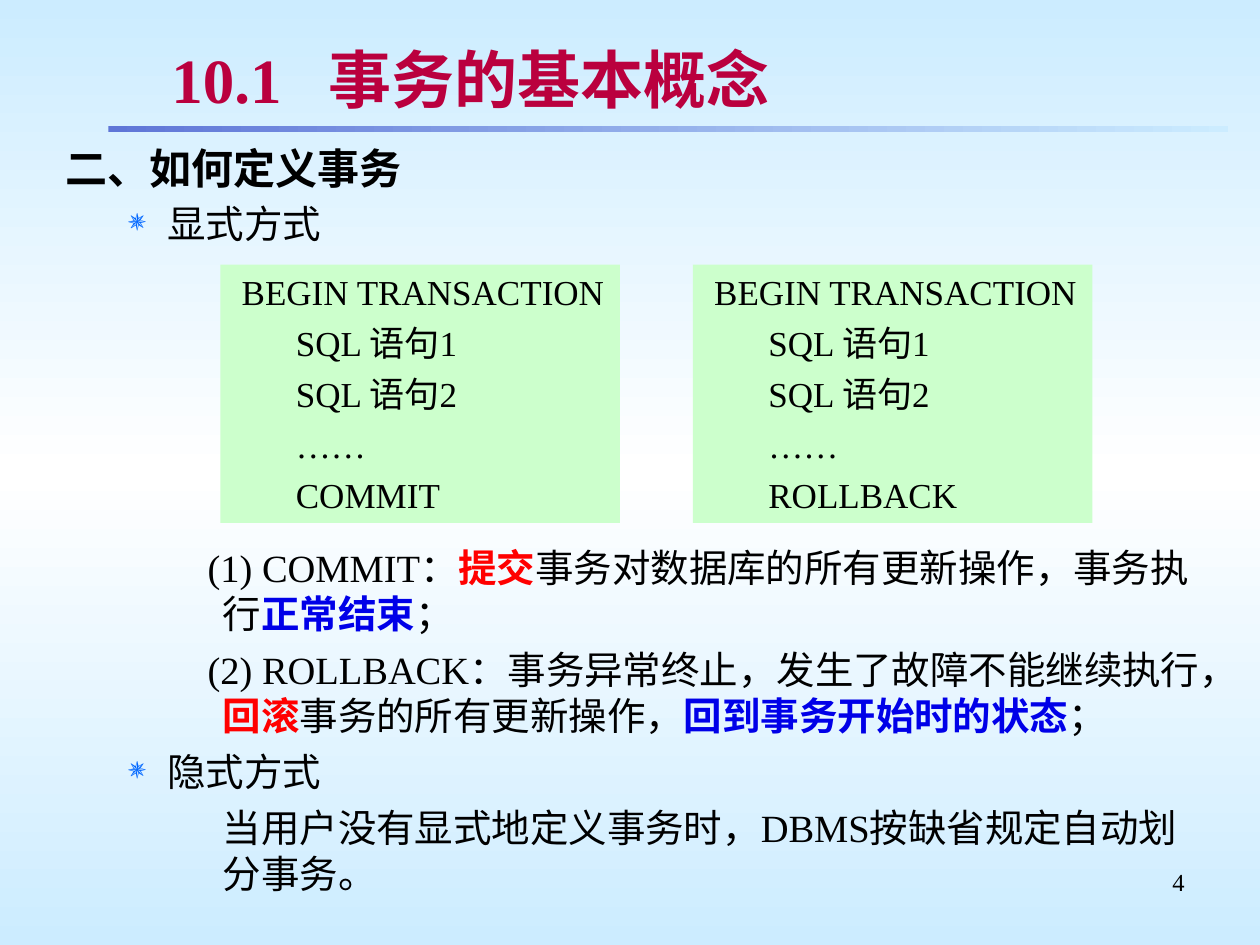
from copy import deepcopy

from lxml import etree
from pptx import Presentation
from pptx.dml.color import RGBColor
from pptx.enum import shapes, text
from pptx.oxml import ns
from pptx.util import Inches, Pt

FONT = "Times New Roman"
BLACK = RGBColor(0, 0, 0)
WHITE = RGBColor(255, 255, 255)
SKY = RGBColor(0xCC, 0xEC, 0xFF)
RULE_BLUE = RGBColor(0x5F, 0x76, 0xD7)
CRIMSON = RGBColor(0xBA, 0x00, 0x3E)
RED = RGBColor(0xFF, 0, 0)
BLUE = RGBColor(0, 0, 0xE8)
BULLET_BLUE = RGBColor(0x00, 0x66, 0xFF)
MINT = RGBColor(0xCC, 0xFF, 0xCC)


def add_el(parent, tag, **attrs):
    return etree.SubElement(parent, ns.qn(tag), attrs)


def set_gradient(fill, angle, colors):
    fill.gradient()
    fill.gradient_angle = angle
    for stop, position, color in zip(fill.gradient_stops, (0, 1), colors):
        stop.position = position
        stop.color.rgb = color


def style_run(r, size, color=BLACK, bold=False):
    r.font.name = FONT
    r.font.size = Pt(size)
    r.font.bold = bold
    r.font.color.rgb = color


def add_paragraph(tf, parts, size, left=0, indent=0, before=0, bullet=False):
    first = not tf.paragraphs[0].runs
    p = tf.paragraphs[0] if first else tf.add_paragraph()
    pPr = p._p.get_or_add_pPr()
    pPr.set("marL", str(Inches(left)))
    pPr.set("indent", str(Inches(indent)))
    if bullet:
        add_el(add_el(pPr, "a:buClr"), "a:srgbClr", val=str(BULLET_BLUE))
        add_el(pPr, "a:buSzPct", val="80000")
        add_el(pPr, "a:buChar", char="✵")
    p.space_before = Pt(0 if first else before)
    for content, color, bold in parts:
        r = p.add_run()
        r.text = content
        style_run(r, size, color, bold)
    return p


def plain(content):
    return [(content, BLACK, False)]


def add_box(s, box):
    tf = s.shapes.add_textbox(*map(Inches, box)).text_frame
    tf.word_wrap = True
    return tf


def add_background(s):
    set_gradient(s.background.fill, 270, (SKY, WHITE))
    stops = s.element.xpath(".//p:bg//a:gsLst")[0]
    stops.append(deepcopy(stops[0]))
    for stop, position in zip(stops, (0, 50000, 100000)):
        stop.set("pos", str(position))


def add_title(s, box):
    title = s.shapes.title
    title.left, title.top, title.width, title.height = map(Inches, box)
    tf = title.text_frame
    tf.auto_size = text.MSO_AUTO_SIZE.NONE
    tf.vertical_anchor = text.MSO_ANCHOR.MIDDLE
    tf.margin_top = tf.margin_bottom = Inches(0.04)
    tf.text = "10.1\t事务的基本概念"
    p = tf.paragraphs[0]
    tabs = add_el(p._p.get_or_add_pPr(), "a:tabLst")
    add_el(tabs, "a:tab", pos=str(Inches(1.25)), algn="l")
    p.alignment = text.PP_ALIGN.LEFT
    for r in p.runs:
        style_run(r, 36, CRIMSON, True)
        effects = etree.Element(ns.qn("a:effectLst"))
        shadow = add_el(effects, "a:outerShdw", dist="25400", dir="2700000")
        add_el(shadow, "a:srgbClr", val="C0C0C0")
        r.font._element.find(ns.qn("a:solidFill")).addnext(effects)


def add_rule(s, box):
    sp = s.shapes.add_shape(shapes.MSO_SHAPE.RECTANGLE, *map(Inches, box))
    sp.shadow.inherit = False
    sp.line.fill.background()
    set_gradient(sp.fill, 0, (RULE_BLUE, SKY))


def add_heading(s, box):
    tf = add_box(s, box)
    add_paragraph(tf, [("二、如何定义事务", BLACK, True)], 24, 0.38, -0.38)
    add_paragraph(tf, plain("显式方式"), 22, 0.81, -0.31, 4.1, bullet=True)


def add_transaction(s, box, ending):
    sp = s.shapes.add_shape(shapes.MSO_SHAPE.RECTANGLE, *map(Inches, box))
    sp.shadow.inherit = False
    sp.fill.solid()
    sp.fill.fore_color.rgb = MINT
    sp.line.fill.background()
    tf = sp.text_frame
    tf.word_wrap = True
    tf.vertical_anchor = text.MSO_ANCHOR.TOP
    lines = ["BEGIN TRANSACTION", "SQL 语句1", "SQL 语句2", "……", ending]
    for i, line in enumerate(lines):
        p = add_paragraph(tf, plain(line), 20, 0.5 if i else 0.07, before=5)
        p.alignment = text.PP_ALIGN.LEFT


def add_explanation(s, box):
    tf = add_box(s, box)
    commit = [
        ("(1) COMMIT：", BLACK, False),
        ("提交", RED, True),
        ("事务对数据库的所有更新操作，事务执行", BLACK, False),
        ("正常结束", BLUE, True),
        ("；", BLACK, False),
    ]
    rollback = [
        ("(2) ROLLBACK：事务异常终止，发生了故障不能继续执行，", BLACK, False),
        ("回滚", RED, True),
        ("事务的所有更新操作，", BLACK, False),
        ("回到事务开始时的状态", BLUE, True),
        ("；", BLACK, False),
    ]
    for parts in (commit, rollback):
        add_paragraph(tf, parts, 22, 1.25, -0.12, 5.5)
    add_paragraph(tf, plain("隐式方式"), 22, 0.81, -0.31, 5.5, bullet=True)
    implicit = "当用户没有显式地定义事务时，DBMS按缺省规定自动划分事务。"
    add_paragraph(tf, plain(implicit), 22, 1.25, 0, 5.5)


def add_page_number(s, box):
    p = add_paragraph(add_box(s, box), plain("4"), 14)
    p.alignment = text.PP_ALIGN.RIGHT


def main():
    prs = Presentation()
    prs.slide_width, prs.slide_height = Inches(10), Inches(7.5)
    s = prs.slides.add_slide(prs.slide_layouts[5])
    add_background(s)
    add_rule(s, (0.86, 1, 8.89, 0.05))
    add_page_number(s, (7.17, 6.83, 2.33, 0.52))
    add_title(s, (1.26, 0.29, 8.24, 0.67))
    add_heading(s, (0.42, 1.08, 4.54, 6))
    for i, ending in enumerate(("COMMIT", "ROLLBACK")):
        add_transaction(s, (1.75 + 3.75 * i, 2.1, 3.17, 2.05), ending)
    add_explanation(s, (0.42, 4.27, 9.25, 2.94))
    prs.save("out.pptx")


if __name__ == "__main__":
    main()
